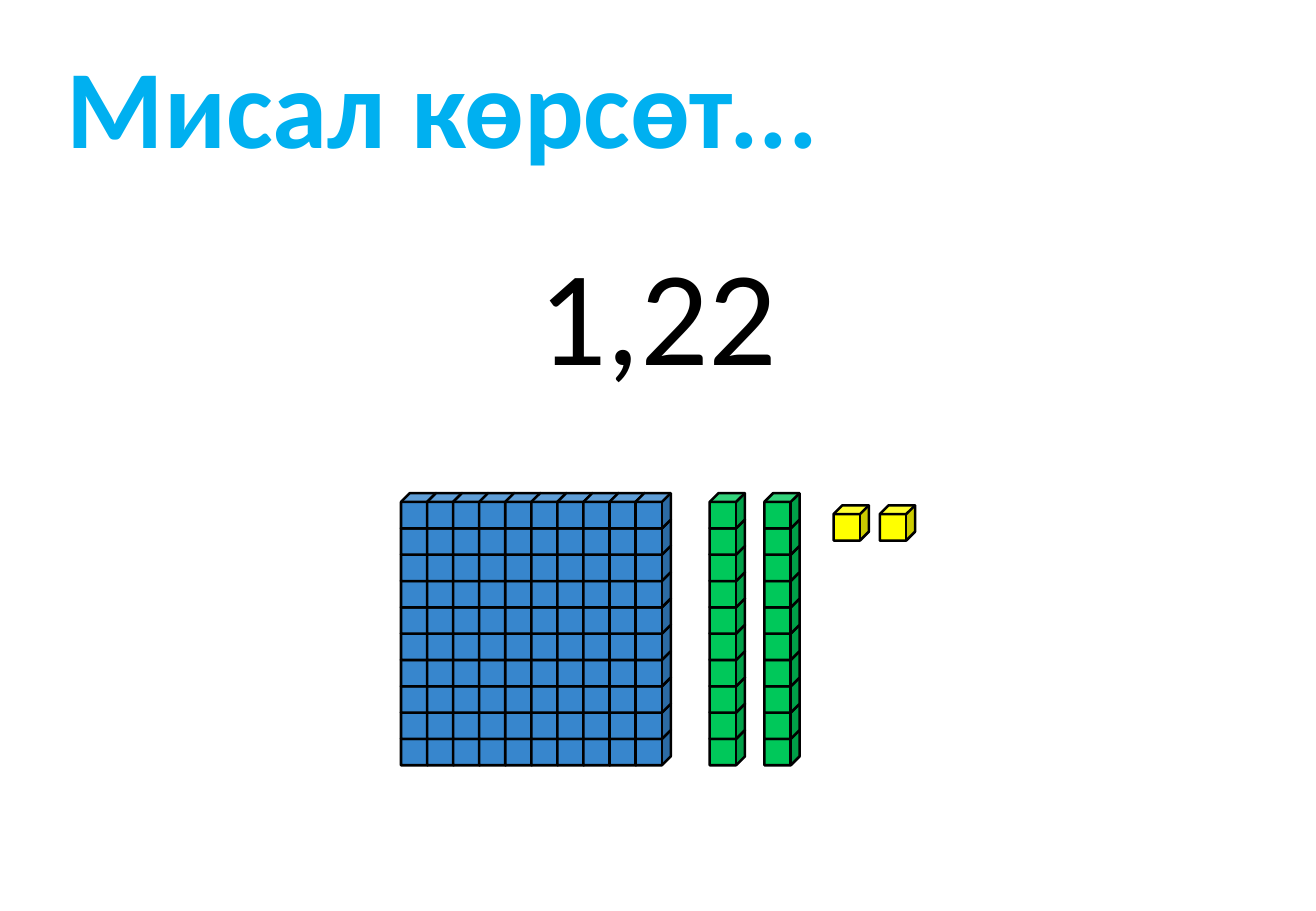
from pptx import Presentation
from pptx.dml.color import RGBColor
from pptx.enum.shapes import MSO_SHAPE as Preset
from pptx.enum.text import MSO_AUTO_SIZE as AutoSize, PP_ALIGN as Align
from pptx.util import Inches, Pt

BLACK = RGBColor(0x00, 0x00, 0x00)
SKY = RGBColor(0x00, 0xB0, 0xF0)
BLUE = RGBColor(0x37, 0x86, 0xCD)
GREEN = RGBColor(0x00, 0xC8, 0x5A)
YELLOW = RGBColor(0xFF, 0xFF, 0x00)

SLIDE_WIDTH, SLIDE_HEIGHT = 10.83, 7.5
CUBE = 0.29
STACK_TOP, STACK_HEIGHT = 4.06, 2.24

TITLE = {"size": Pt(66), "bold": True, "color": SKY}
NUMBER = {"size": Pt(80), "bold": False, "color": BLACK}


def add_text(page, box, text, style, align, wrap, inset=0.1):
    frame = page.shapes.add_textbox(*map(Inches, box)).text_frame
    settings = {"word_wrap": wrap, "auto_size": AutoSize.SHAPE_TO_FIT_TEXT,
                "margin_left": Inches(inset)}
    for name, value in settings.items():
        setattr(frame, name, value)
    para = frame.paragraphs[0]
    para.alignment = align
    span = para.add_run()
    span.text = text
    span.font.name = "Calibri"
    for name, value in style.items():
        if name == "color":
            span.font.color.rgb = value
        else:
            setattr(span.font, name, value)


def add_blocks(page, box, columns, rows, colour):
    """Fill the box with a group of cubes, column by column from the bottom up."""
    left, top, width, height = box
    step_x = (width - CUBE) / max(columns - 1, 1)
    step_y = (height - CUBE) / max(rows - 1, 1)
    group = page.shapes.add_group_shape()
    for column in range(columns):
        for row in reversed(range(rows)):
            place = (left + column * step_x, top + row * step_y, CUBE, CUBE)
            cube = group.shapes.add_shape(Preset.CUBE, *map(Inches, place))
            cube.shadow.inherit = False
            cube.fill.solid()
            cube.fill.fore_color.rgb = colour
            cube.line.color.rgb = BLACK
            cube.line.width = Pt(1.5)


def add_decimal_model(page):
    """Show one whole, two tenths and two hundredths."""
    add_blocks(page, (3.3, STACK_TOP, 2.22, STACK_HEIGHT), 10, 10, BLUE)
    for left in (5.84, 6.29):
        add_blocks(page, (left, STACK_TOP, CUBE, STACK_HEIGHT), 1, 10, GREEN)
    for left in (6.86, 7.24):
        add_blocks(page, (left, STACK_TOP + 0.1, CUBE, CUBE), 1, 1, YELLOW)


def main():
    deck = Presentation()
    deck.slide_width, deck.slide_height = Inches(SLIDE_WIDTH), Inches(SLIDE_HEIGHT)
    page = deck.slides.add_slide(deck.slide_layouts[6])
    add_text(page, (4.32, 1.85, 2.19, 1.45), "1,22", NUMBER, Align.CENTER, False)
    add_decimal_model(page)
    add_text(page, (0.24, 0.26, 7.54, 1.21), "Мисал көрсөт...", TITLE,
             Align.LEFT, True, inset=0.31)
    deck.save("out.pptx")


if __name__ == "__main__":
    main()
